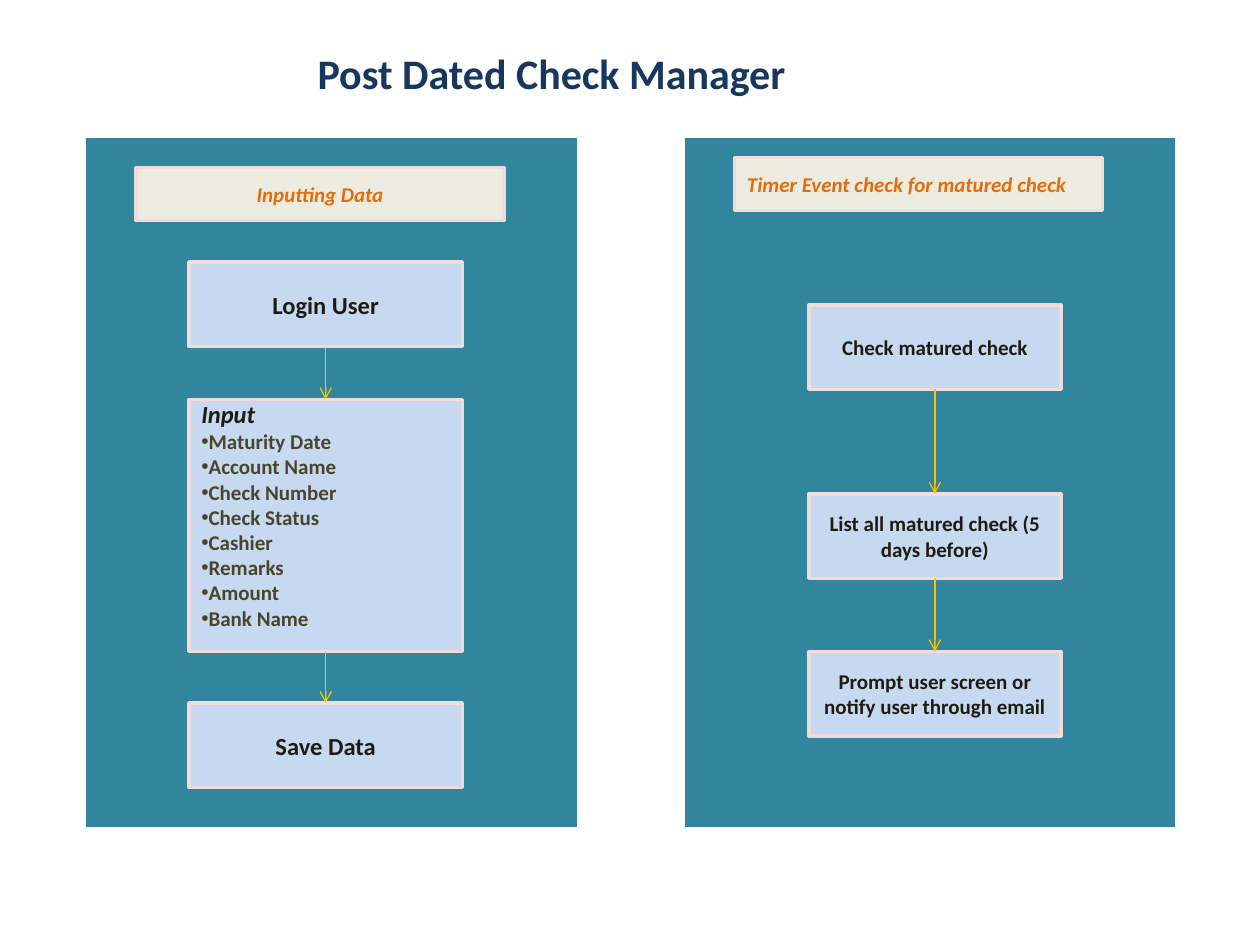
from dataclasses import dataclass

from lxml import etree
from pptx import Presentation
from pptx.dml.color import RGBColor
from pptx.enum.shapes import MSO_CONNECTOR, MSO_SHAPE
from pptx.enum.text import MSO_ANCHOR, MSO_AUTO_SIZE, PP_ALIGN
from pptx.oxml.ns import qn
from pptx.util import Inches, Pt

RECTANGLE = MSO_SHAPE.RECTANGLE
STRAIGHT = MSO_CONNECTOR.STRAIGHT
TOP, MIDDLE = MSO_ANCHOR.TOP, MSO_ANCHOR.MIDDLE
LEFT, CENTER = PP_ALIGN.LEFT, PP_ALIGN.CENTER


@dataclass(frozen=True)
class Theme:
    """Colours, font and type sizes of the slide."""
    font: str = "Calibri"
    title: str = "17375E"
    panel: str = "31859C"
    panel_line: str = "FFFFFF"
    header: str = "EEECE1"
    header_text: str = "E46C0A"
    step: str = "C6D9F1"
    step_line: str = "F2DCDB"
    step_text: str = "1E1C11"
    field_text: str = "4A452A"
    arrow: str = "FFC000"
    title_size: int = 24
    large: int = 14
    small: int = 12


@dataclass(frozen=True)
class Step:
    """One box of a flow, with optional bulleted fields."""
    text: str
    top: float
    height: float = 0.67
    fields: tuple[str, ...] = ()


@dataclass(frozen=True)
class Flow:
    """A panel with a header and a column of steps."""
    panel_left: float
    header: str
    header_left: float
    header_top: float
    header_align: PP_ALIGN
    step_left: float
    step_width: float
    step_size: int
    steps: tuple[Step, ...]


THEME = Theme()
FIELDS = ("Maturity Date", "Account Name", "Check Number", "Check Status",
          "Cashier", "Remarks", "Amount", "Bank Name")
FLOWS = (
    Flow(0.67, "Inputting Data", 1.08, 1.33, CENTER, 1.5, 2.17, THEME.large, (
        Step("Login User", 2.08),
        Step("Input", 3.17, 2, FIELDS),
        Step("Save Data", 5.58))),
    Flow(5.42, "Timer Event check for matured check", 5.83, 1.25, LEFT,
         6.42, 2, THEME.small, (
             Step("Check matured check", 2.42),
             Step("List all matured check (5 days before)", 3.92),
             Step("Prompt user screen or notify user through email", 5.17))),
)


def write(para, text: str, *, size: int, color: str, align=LEFT,
          italic: bool = False, bullet: bool = False) -> None:
    """Put bold text in a paragraph and format it."""
    para.alignment = align
    span = para.add_run()
    span.text = text
    span.font.name = THEME.font
    span.font.size = Pt(size)
    span.font.bold = True
    span.font.italic = italic
    span.font.color.rgb = RGBColor.from_string(color)
    if bullet:
        properties = para._p.get_or_add_pPr()
        etree.SubElement(properties, qn("a:buFont"), typeface="Arial")
        etree.SubElement(properties, qn("a:buChar"), char="•")


def add_box(page, left: float, top: float, width: float, height: float, *,
            fill: str, line: str):
    """Add a flat outlined rectangle."""
    box = page.shapes.add_shape(RECTANGLE, Inches(left), Inches(top),
                                Inches(width), Inches(height))
    box.shadow.inherit = False
    box.fill.solid()
    box.fill.fore_color.rgb = RGBColor.from_string(fill)
    box.line.color.rgb = RGBColor.from_string(line)
    box.line.width = Pt(2)
    box.text_frame.word_wrap = True
    box.text_frame.vertical_anchor = MIDDLE
    return box


def add_arrow(page, x: float, start: float, end: float) -> None:
    """Add a downward arrow."""
    arrow = page.shapes.add_connector(STRAIGHT, Inches(x), Inches(start),
                                      Inches(x), Inches(end))
    arrow.line.color.rgb = RGBColor.from_string(THEME.arrow)
    arrow.line.width = Pt(0.75)
    etree.SubElement(arrow.line._get_or_add_ln(), qn("a:tailEnd"), type="arrow")
    etree.SubElement(arrow._element.spPr, qn("a:effectLst"))


def add_step(page, flow: Flow, step: Step) -> None:
    """Add a step box; a step with fields lists them from the top."""
    box = add_box(page, flow.step_left, step.top, flow.step_width, step.height,
                  fill=THEME.step, line=THEME.step_line)
    frame = box.text_frame
    has_fields = bool(step.fields)
    write(frame.paragraphs[0], step.text, size=flow.step_size,
          color=THEME.step_text, align=LEFT if has_fields else CENTER,
          italic=has_fields)
    if has_fields:
        frame.vertical_anchor = TOP
        frame.margin_top = 0
    for field in step.fields:
        write(frame.add_paragraph(), field, size=THEME.small,
              color=THEME.field_text, bullet=True)


def add_flow(page, flow: Flow) -> None:
    """Add a panel, its header, its steps and the arrows between them."""
    add_box(page, flow.panel_left, 1.08, 3.92, 5.5,
            fill=THEME.panel, line=THEME.panel_line)
    header = add_box(page, flow.header_left, flow.header_top, 2.92, 0.42,
                     fill=THEME.header, line=THEME.step_line)
    write(header.text_frame.paragraphs[0], flow.header, size=THEME.small,
          color=THEME.header_text, align=flow.header_align, italic=True)
    for step in flow.steps:
        add_step(page, flow, step)
    center = flow.step_left + flow.step_width / 2
    for upper, lower in zip(flow.steps, flow.steps[1:]):
        add_arrow(page, center, upper.top + upper.height, lower.top)


def add_title(page, text: str) -> None:
    """Place and format the title placeholder."""
    title = page.shapes.title
    title.left, title.top = Inches(2.42), Inches(0.33)
    title.width, title.height = Inches(4.92), Inches(0.5)
    frame = title.text_frame
    frame.word_wrap = True
    frame.auto_size = MSO_AUTO_SIZE.NONE
    frame.vertical_anchor = TOP
    write(frame.paragraphs[0], text, size=THEME.title_size, color=THEME.title)


def main() -> None:
    """Build and save the slide."""
    deck = Presentation()
    deck.slide_width, deck.slide_height = Inches(10), Inches(7.5)
    page = deck.slides.add_slide(deck.slide_layouts[5])
    add_title(page, "Post Dated Check Manager")
    for flow in FLOWS:
        add_flow(page, flow)
    deck.save("out.pptx")


main()
